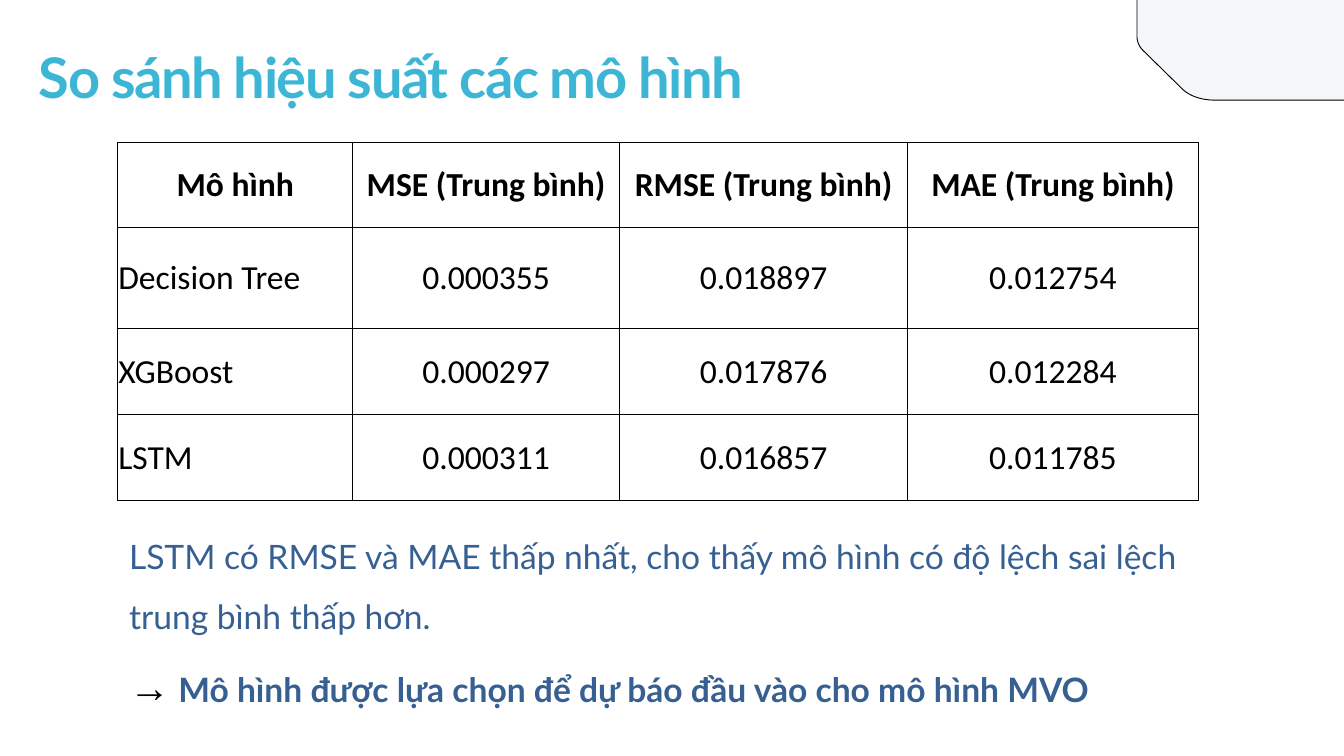
from lxml import etree
from pptx import Presentation
from pptx.dml.color import RGBColor
from pptx.enum.text import MSO_ANCHOR, PP_ALIGN
from pptx.oxml.ns import qn
from pptx.util import Inches, Pt

CENTER, LEFT = PP_ALIGN.CENTER, PP_ALIGN.LEFT
MIDDLE = MSO_ANCHOR.MIDDLE

BLACK, CYAN, BLUE, PALE = "000000", "3DB6D6", "376092", "EDF1F2"

COLUMN_WIDTHS = [3.5, 3.97, 4.29, 4.32]
ROW_HEIGHTS = [1.26, 1.51, 1.28, 1.28]
RESULTS = [
    ["Mô hình", "MSE (Trung bình)", "RMSE (Trung bình)", "MAE (Trung bình)"],
    ["Decision Tree", "0.000355", "0.018897", "0.012754"],
    ["XGBoost", "0.000297", "0.017876", "0.012284"],
    ["LSTM", "0.000311", "0.016857", "0.011785"],
]

# Corner outline relative to its box: each side is a straight run to the
# first point, then a curve through two control points to the last one.
CORNER_SIDES = [
    [(4.58, 1.88), (4.71, 1.72), (4.68, 1.53), (4.51, 1.39)],
    [(2.81, 0.13), (2.69, 0.05), (2.54, 0), (2.37, 0)],
    [(0.59, 0), (0.26, 0), (0, 0.18), (0, 0.41)],
    [(0, 2.03), (0, 2.11), (0.03, 2.19), (0.11, 2.26)],
    [(0.67, 2.81), (0.78, 2.92), (0.96, 2.98), (1.15, 2.98)],
    [(3.31, 2.98), (3.52, 2.98), (3.72, 2.9), (3.82, 2.78)],
]
CURVE_STEPS = 12


def color(value):
    return RGBColor.from_string(value)


def add_span(para, text, size, font, ink, bold=False):
    span = para.add_run()
    span.text = text
    span.font.size = Pt(size)
    span.font.name = font
    span.font.bold = bold
    span.font.color.rgb = color(ink)
    return span


def add_text_frame(page, left, top, width, height):
    box = page.shapes.add_textbox(
        Inches(left), Inches(top), Inches(width), Inches(height))
    frame = box.text_frame
    frame.word_wrap = True
    frame.margin_left = frame.margin_right = 0
    frame.margin_top = frame.margin_bottom = 0
    return frame


def curve_point(points, t):
    weights = [(1 - t) ** 3, 3 * t * (1 - t) ** 2, 3 * t * t * (1 - t), t ** 3]
    return [sum(w * p[axis] for w, p in zip(weights, points)) for axis in (0, 1)]


def add_corner(page, left, top):
    """Rounded, bevelled panel running off the top right corner."""
    outline = [curve_point(side, step / CURVE_STEPS)
               for side in CORNER_SIDES for step in range(CURVE_STEPS + 1)]
    points = [(Inches(left + x), Inches(top + y)) for x, y in outline]
    builder = page.shapes.build_freeform(*points[0])
    builder.add_line_segments(points[1:], close=True)
    corner = builder.convert_to_shape()
    corner.shadow.inherit = False
    corner.fill.solid()
    corner.fill.fore_color.rgb = color(PALE)
    fill = corner.fill._xPr.find(qn("a:solidFill"))
    etree.SubElement(fill[0], qn("a:alpha"), val="60000")
    corner.line.color.rgb = color(BLACK)
    corner.line.width = Pt(1)


def add_title(page, left, top, width, height):
    para = add_text_frame(page, left, top, width, height).paragraphs[0]
    para.line_spacing = Pt(90)
    span = add_span(para, "So sánh hiệu suất các mô hình", 60, "Lato", CYAN, True)
    span.font._element.set("spc", "-150")


def add_borders(cell):
    properties = cell._tc.get_or_add_tcPr()
    for index, side in enumerate(("lnL", "lnR", "lnT", "lnB")):
        line = etree.Element(qn(f"a:{side}"), w=str(Pt(1)))
        fill = etree.SubElement(line, qn("a:solidFill"))
        etree.SubElement(fill, qn("a:srgbClr"), val=BLACK)
        properties.insert(index, line)


def add_results(page, left, top, width, height):
    table = page.shapes.add_table(
        len(RESULTS), len(COLUMN_WIDTHS),
        Inches(left), Inches(top), Inches(width), Inches(height)).table
    table.horz_banding = False
    for column, size in zip(table.columns, COLUMN_WIDTHS):
        column.width = Inches(size)
    for row, size in zip(table.rows, ROW_HEIGHTS):
        row.height = Inches(size)
    for r, values in enumerate(RESULTS):
        for c, value in enumerate(values):
            cell = table.cell(r, c)
            cell.fill.background()
            cell.vertical_anchor = MIDDLE
            cell.margin_left = cell.margin_right = cell.margin_top = Inches(0.01)
            cell.margin_bottom = 0
            add_borders(cell)
            para = cell.text_frame.paragraphs[0]
            para.alignment = LEFT if r and c == 0 else CENTER
            add_span(para, value, 36, "Calibri", BLACK, r == 0)


def add_conclusion(page, left, top, width, height):
    frame = add_text_frame(page, left, top, width, height)
    finding, choice = frame.paragraphs[0], frame.add_paragraph()
    finding.line_spacing = choice.line_spacing = 1.5
    add_span(finding, "LSTM có RMSE và MAE thấp nhất, cho thấy mô hình có độ lệch "
             "sai lệch trung bình thấp hơn.", 36, "Lato", BLUE)
    add_span(choice, "→", 44, "Arial", BLACK, True)
    add_span(choice, " Mô hình được lựa chọn để dự báo đầu vào cho mô hình MVO",
             36, "Lato", BLUE, True)


def main():
    deck = Presentation()
    deck.slide_width, deck.slide_height = Inches(20), Inches(11.25)
    page = deck.slides.add_slide(deck.slide_layouts[6])
    add_corner(page, 16.92, -1.49)
    add_title(page, 0.58, 0.38, 14.33, 1.15)
    add_conclusion(page, 1.92, 7.67, 15.92, 2.79)
    add_results(page, 1.75, 2.12, sum(COLUMN_WIDTHS), sum(ROW_HEIGHTS))
    deck.save("out.pptx")


if __name__ == "__main__":
    main()
